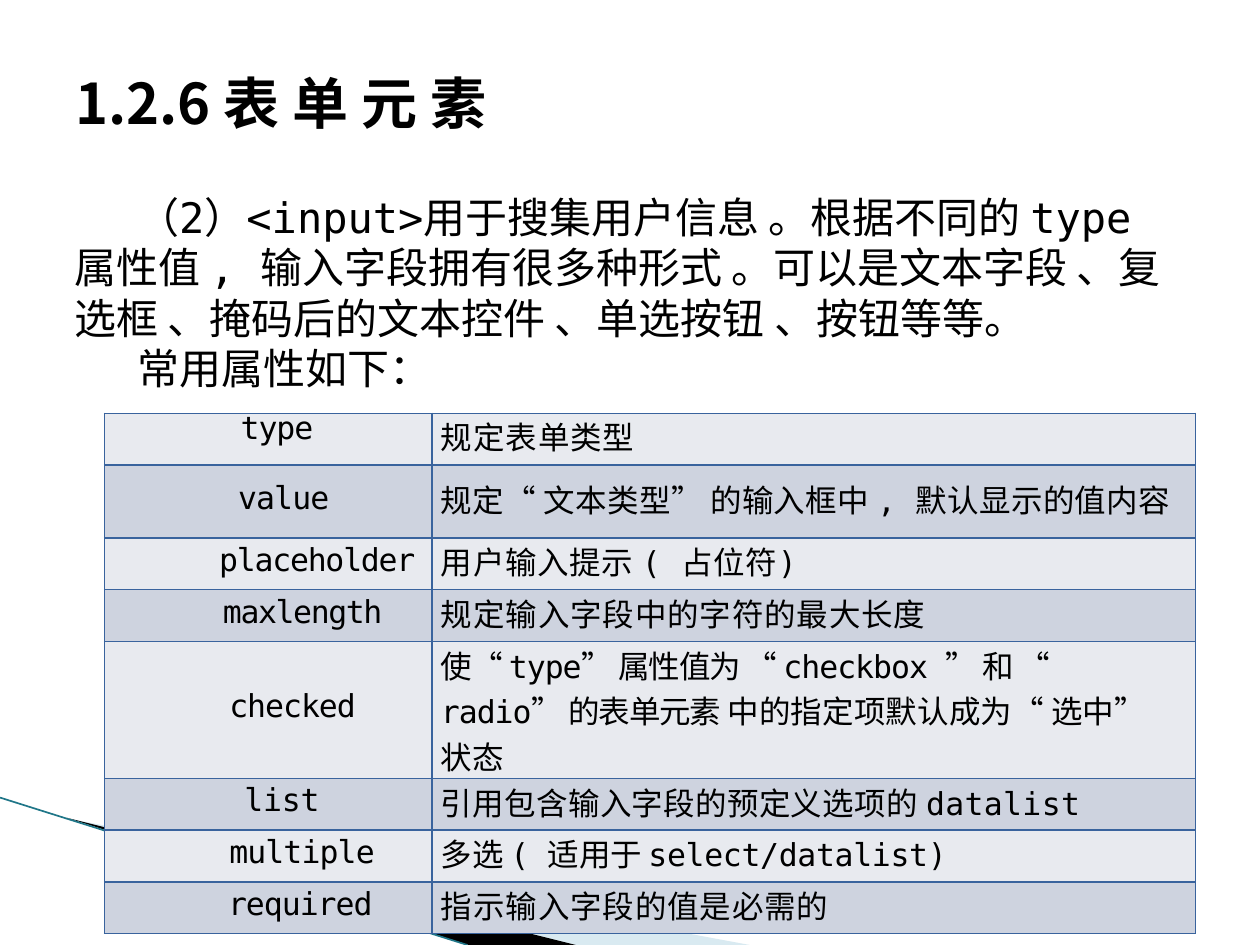
from typing import NamedTuple

from lxml import etree
from pptx import Presentation
from pptx import util as u
from pptx.dml.color import RGBColor
from pptx.enum import shapes as sh, text as tx
from pptx.oxml import ns

INK = {"black": "000000", "teal": "1F7688", "mist": "A0CBDC",
       "edge": "39639D", "odd": "E8EAEF", "even": "CED3DF"}
MONO, SANS = "DejaVu Sans Mono", "Noto Sans CJK SC"


class Row(NamedTuple):
    name: str
    pad: float  # left margin of the name, inches
    gap: float  # letter spacing of the name, points
    note: list  # (text, letter spacing) pairs
    lead: float = 0.78  # line spacing of the note
    high: float = 0.41


class Wedge(NamedTuple):
    pts: list
    fill: str
    alpha: int = 100


ROWS = [
    Row("type", 1.08, -0.6, [("规定表单类型", 0.5)]),
    Row("value", 1.06, -0.5,
        [("规定“ 文本类型” 的输入框中 , 默认显示的值内容", 0.2)], 0.81, 0.58),
    Row("placeholder", 0.91, -0.7, [("用户输入提示 ( 占位符)", 0.4)]),
    Row("maxlength", 0.94, -0.8, [("规定输入字段中的字符的最大长度", 0.5)]),
    Row("checked", 0.99, -0.6,
        [("使“ type” 属性值为 “ checkbox ” 和 “ radio” 的表单元素 ", -0.6),
         ("中的指定项默认成为“ 选中” 状态", 0.1)], 1.0, 1.09),
    Row("list", 1.11, -0.1, [("引用包含输入字段的预定义选项的 datalist", 0.2)]),
    Row("multiple", 0.99, -0.5, [("多选 ( 适用于 select/datalist)", -0.2)]),
    Row("required", 0.98, -0.6, [("指示输入字段的值是必需的", 0.5)]),
]
WEDGES = [
    Wedge([(0.55, 6.5), (5.95, 7.5), (4.56, 7.5)], "mist", 40),
    Wedge([(0.53, 6.49), (4.57, 7.5), (3.72, 7.5)], "black"),
]
BODY = ["（2）<input>用于搜集用户信息 。根据不同的 type 属性值 , 输入字段拥有很多种形式 。"
        "可以是文本字段 、复选框 、掩码后的文本控件 、单选按钮 、按钮等等。",
        "常用属性如下："]


def tint(name: str) -> RGBColor:
    return RGBColor.from_string(INK[name])


def write(para, words: str, size=18, font=MONO, bold=False, gap=0.0) -> None:
    """Add one run; gap is the letter spacing in points."""
    run = para.add_run()
    run.text = words
    face = run.font
    face.size, face.name, face.bold = u.Pt(size), font, bold
    face.color.rgb = tint("black")
    props = run._r.get_or_add_rPr()
    if gap:
        props.set("spc", str(round(gap * 100)))
    etree.SubElement(props, ns.qn("a:ea"), typeface=SANS)


def add_title(slide) -> None:
    spot = map(u.Inches, (0.5, 0.3, 9, 1.02))
    box = slide.shapes.add_shape(sh.MSO_SHAPE.RECTANGLE, *spot)
    box.shadow.inherit = False
    box.fill.background()
    box.line.fill.background()
    frame = box.text_frame
    frame.vertical_anchor = tx.MSO_ANCHOR.MIDDLE
    para = frame.paragraphs[0]
    para.alignment = tx.PP_ALIGN.LEFT
    write(para, "1.2.6 表 单 元 素", size=32, font=SANS, bold=True)


def add_body(slide) -> None:
    spot = map(u.Inches, (0.49, 1.47, 9.02, 1.73))
    frame = slide.shapes.add_textbox(*spot).text_frame
    frame.word_wrap = True
    for i, words in enumerate(BODY):
        para = frame.add_paragraph() if i else frame.paragraphs[0]
        para._p.get_or_add_pPr().set("indent", str(u.Inches(0.5)))
        write(para, words, size=24)


def add_wedge(slide, wedge: Wedge) -> None:
    pts = [(u.Inches(x), u.Inches(y)) for x, y in wedge.pts]
    pen = slide.shapes.build_freeform(*pts[0])
    pen.add_line_segments(pts[1:], close=True)
    form = pen.convert_to_shape()
    form.shadow.inherit = False
    form.fill.solid()
    form.fill.fore_color.rgb = tint(wedge.fill)
    form.line.fill.background()
    if wedge.alpha < 100:
        hue = form._element.spPr.find(".//" + ns.qn("a:srgbClr"))
        etree.SubElement(hue, ns.qn("a:alpha"), val=str(wedge.alpha * 1000))


def add_line(slide) -> None:
    ends = map(u.Inches, (0, 6.33, 3.71, 7.5))
    line = slide.shapes.add_connector(sh.MSO_CONNECTOR.STRAIGHT, *ends)
    line.line.color.rgb = tint("teal")
    line.line.width = u.Pt(0.95)
    etree.SubElement(line._element.spPr, ns.qn("a:effectLst"))


def style(cell, fill: str, pad: float, right: float) -> None:
    """Set margins, borders and fill of a cell."""
    cell.margin_left, cell.margin_right = u.Inches(pad), u.Inches(right)
    cell.margin_top = cell.margin_bottom = 0
    cell.vertical_anchor = tx.MSO_ANCHOR.MIDDLE
    props = cell._tc.get_or_add_tcPr()
    for side in ("lnL", "lnR", "lnT", "lnB"):
        edge = etree.SubElement(props, ns.qn("a:" + side), w=str(u.Pt(1)))
        paint = etree.SubElement(edge, ns.qn("a:solidFill"))
        etree.SubElement(paint, ns.qn("a:srgbClr"), val=INK["edge"])
    cell.fill.solid()
    cell.fill.fore_color.rgb = tint(fill)


def add_grid(slide) -> None:
    spot = map(u.Inches, (0.83, 3.28, 8.66, sum(r.high for r in ROWS)))
    grid = slide.shapes.add_table(len(ROWS), 2, *spot).table
    for col, wide in zip(grid.columns, (2.6, 6.06)):
        col.width = u.Inches(wide)
    for i, row in enumerate(ROWS):
        grid.rows[i].height = u.Inches(row.high)
        fill = "even" if i % 2 else "odd"
        left, right = grid.cell(i, 0), grid.cell(i, 1)
        style(left, fill, row.pad, 0)
        style(right, fill, 0.07, 0.16)
        para = left.text_frame.paragraphs[0]
        para.line_spacing = 0.69 if i else u.Pt(8.4)
        write(para, row.name, gap=row.gap)
        para = right.text_frame.paragraphs[0]
        para.line_spacing = row.lead
        for words, gap in row.note:
            write(para, words, gap=gap)


def main() -> None:
    deck = Presentation()
    deck.slide_width, deck.slide_height = u.Inches(10), u.Inches(7.5)
    slide = deck.slides.add_slide(deck.slide_layouts[6])
    for wedge in WEDGES:
        add_wedge(slide, wedge)
    add_line(slide)
    add_title(slide)
    add_body(slide)
    add_grid(slide)
    deck.save("out.pptx")


if __name__ == "__main__":
    main()
